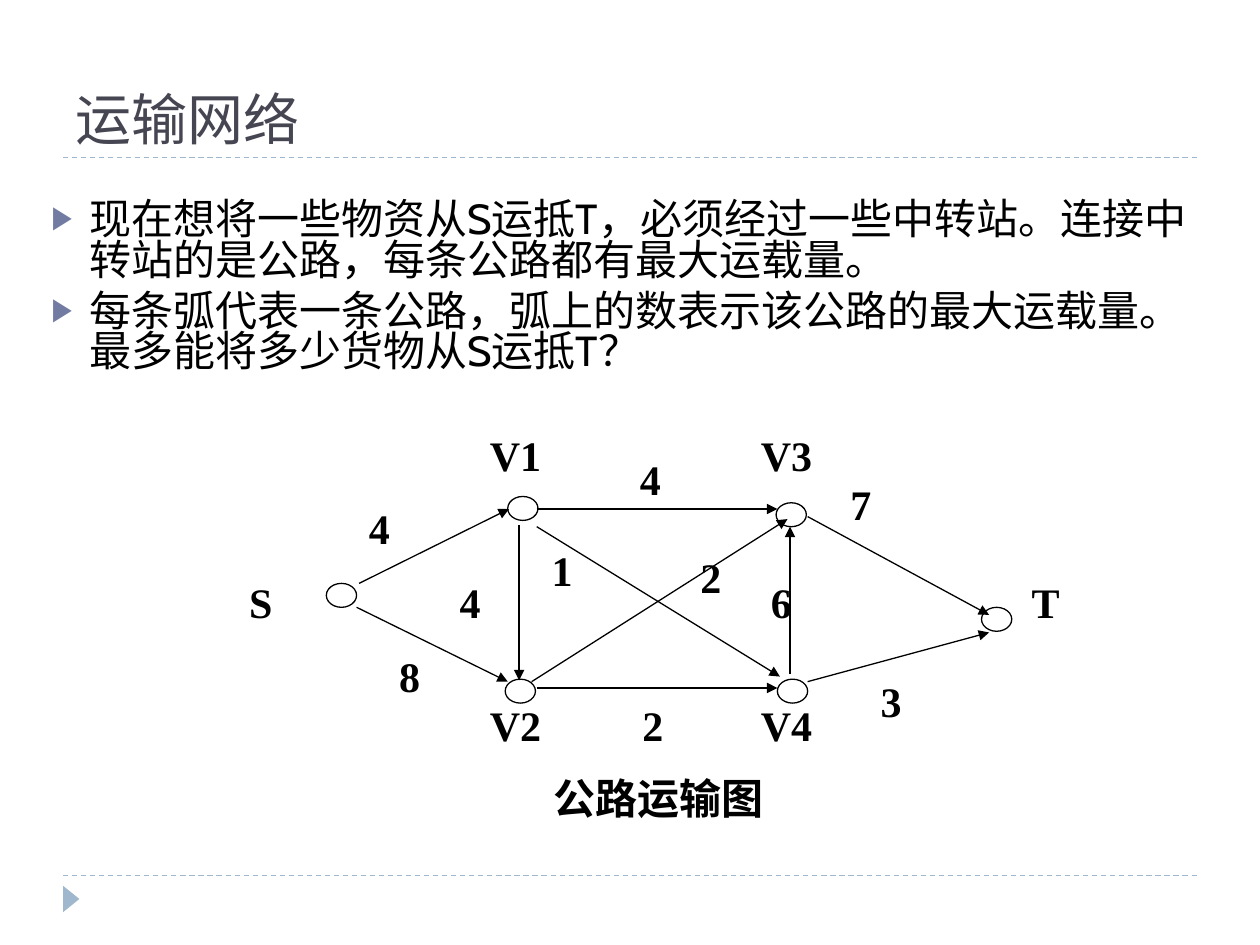
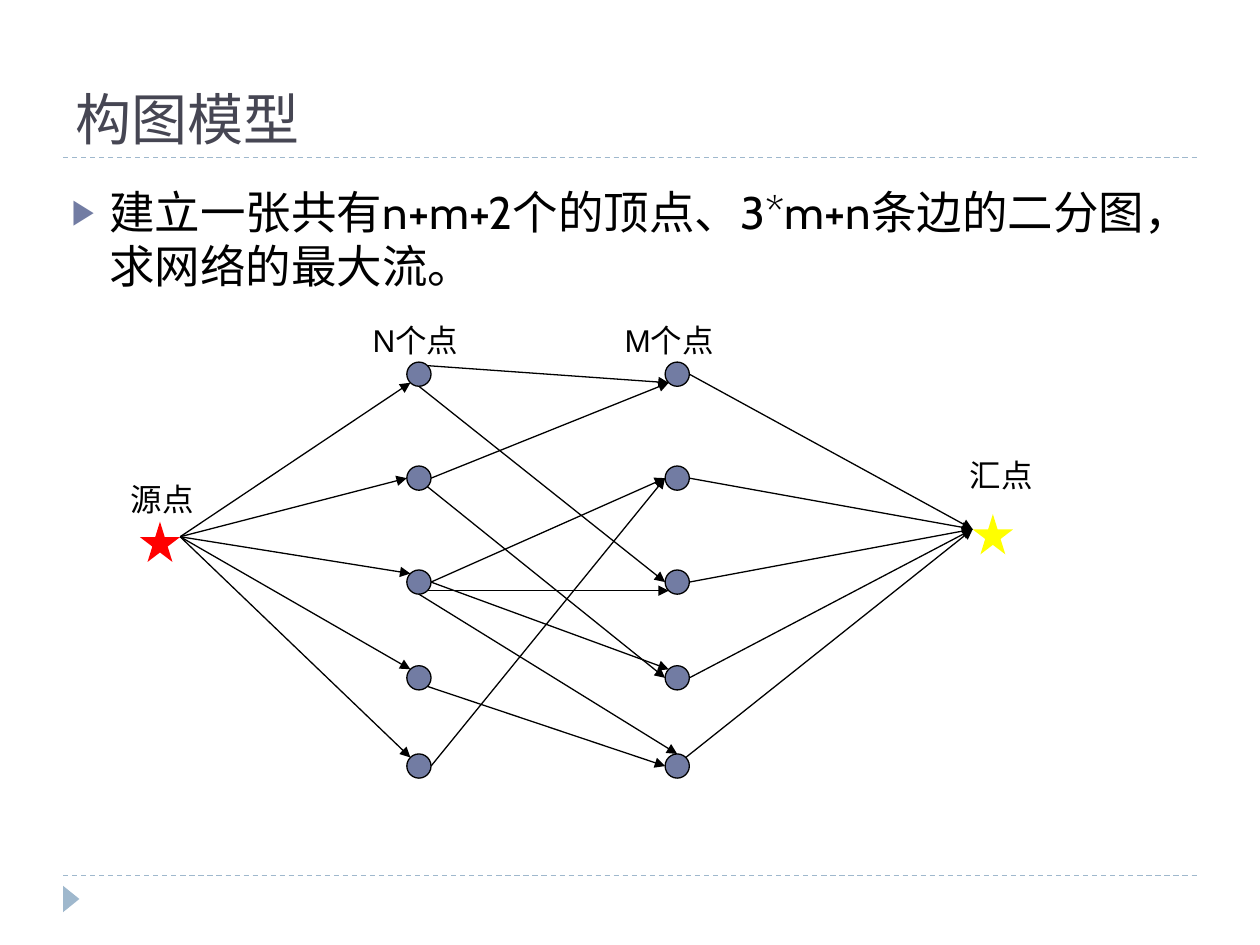
import math

import lxml.etree
import pptx
import pptx.dml.color
import pptx.enum.dml
import pptx.enum.shapes
import pptx.enum.text
import pptx.oxml.ns
import pptx.util

SLIDE_WIDTH = pptx.util.Inches(10)
SLIDE_HEIGHT = pptx.util.Inches(7.5)
COLUMN = SLIDE_WIDTH / 100
ROW = SLIDE_HEIGHT / 75

BLACK = pptx.dml.color.RGBColor(0x00, 0x00, 0x00)
WHITE = pptx.dml.color.RGBColor(0xFF, 0xFF, 0xFF)
TITLE_INK = pptx.dml.color.RGBColor(0x46, 0x46, 0x53)
RULE_BLUE = pptx.dml.color.RGBColor(0x9F, 0xB8, 0xCD)
ACCENT = pptx.dml.color.RGBColor(0x72, 0x7C, 0xA3)
SOURCE_RED = pptx.dml.color.RGBColor(0xFF, 0x00, 0x00)
SINK_YELLOW = pptx.dml.color.RGBColor(0xFF, 0xFF, 0x00)

TITLE_FONT = "TeX Gyre Bonum"
BODY_FONT = "Cabin"
NETWORK_FONT = "Times New Roman"
LABEL_FONT = "Arial"

SHAPES = pptx.enum.shapes.MSO_SHAPE
ALIGN = pptx.enum.text.PP_ALIGN
ANCHOR = pptx.enum.text.MSO_ANCHOR

COMPASS = {name: index * math.pi / 4 for index, name in
           enumerate(("E", "SE", "S", "SW", "W", "NW", "N", "NE"))}
NODE_SIZE = 1.92


def place(column, row):
    return int(column * COLUMN), int(row * ROW)


def add_child(parent, tag, **attributes):
    child = lxml.etree.SubElement(parent, pptx.oxml.ns.qn(tag))
    for name, value in attributes.items():
        child.set(name, value)
    return child


def add_bullet(paragraph):
    properties = paragraph._p.get_or_add_pPr()
    indent = pptx.util.Inches(0.3)
    properties.set("marL", str(indent))
    properties.set("indent", str(-indent))
    color = add_child(properties, "a:buClr")
    add_child(color, "a:srgbClr", val=str(ACCENT))
    add_child(properties, "a:buSzPct", val="76000")
    add_child(properties, "a:buFont", typeface=LABEL_FONT)
    add_child(properties, "a:buChar", char="▶")


def add_text(slide, text, box, *, font, size, color=BLACK, bold=False,
             align=ALIGN.LEFT, anchor=ANCHOR.TOP, bullet=False, spacing=None):
    shape = slide.shapes.add_textbox(*place(*box[:2]), *place(*box[2:]))
    frame = shape.text_frame
    frame.word_wrap = True
    frame.vertical_anchor = anchor
    frame.text = text
    for paragraph in frame.paragraphs:
        paragraph.alignment = align
        if spacing:
            paragraph.line_spacing = spacing
        if bullet:
            paragraph.space_before = pptx.util.Pt(6)
            add_bullet(paragraph)
        for run in paragraph.runs:
            run.font.name = font
            run.font.size = pptx.util.Pt(size)
            run.font.bold = bold
            run.font.color.rgb = color


def add_figure(slide, kind, box, fill, outline=None):
    shape = slide.shapes.add_shape(kind, *place(*box[:2]), *place(*box[2:]))
    shape.shadow.inherit = False
    shape.fill.solid()
    shape.fill.fore_color.rgb = fill
    if outline is None:
        shape.line.fill.background()
    else:
        shape.line.color.rgb = outline
        shape.line.width = pptx.util.Pt(0.75)
    return shape


def add_line(slide, start, end, color=BLACK):
    connector = slide.shapes.add_connector(
        pptx.enum.shapes.MSO_CONNECTOR.STRAIGHT, *place(*start), *place(*end))
    connector.line.color.rgb = color
    connector.line.width = pptx.util.Pt(0.75)
    add_child(connector._element.spPr, "a:effectLst")
    return connector


def add_arrow(slide, start, end):
    connector = add_line(slide, start, end)
    add_child(connector.line._get_or_add_ln(), "a:tailEnd", type="triangle")


def add_titled_slide(presentation, title):
    slide = presentation.slides.add_slide(presentation.slide_layouts[6])
    for row in (69.5, 12.5):
        rule = add_line(slide, (5, row), (95, row), RULE_BLUE)
        rule.line.dash_style = pptx.enum.dml.MSO_LINE.DASH
    marker = add_figure(slide, SHAPES.ISOSCELES_TRIANGLE, (4.6, 70.7, 2.1, 1.3), RULE_BLUE)
    marker.rotation = 90
    add_text(slide, title, (5, 1.7, 90, 10.8), font=TITLE_FONT, size=32,
             color=TITLE_INK, anchor=ANCHOR.BOTTOM)
    return slide


def build_transport_network(presentation):
    slide = add_titled_slide(presentation, "运输网络")
    add_text(slide,
             "现在想将一些物资从S运抵T，必须经过一些中转站。连接中转站的是公路，每条公路都有最大运载量。\n"
             "每条弧代表一条公路，弧上的数表示该公路的最大运载量。最多能将多少货物从S运抵T？",
             (3.1, 15.6, 92.9, 15.8), font=BODY_FONT, size=24, bullet=True, spacing=0.8)

    stations = {
        "S": ((25.9, 46.3), (18.8, 45.3)),
        "V1": ((40.3, 39.4), (37.9, 33.6)),
        "V2": ((40.1, 53.9), (37.9, 55)),
        "V3": ((61.6, 39.9), (59.4, 33.6)),
        "V4": ((61.7, 53.9), (59.4, 55)),
        "T": ((77.9, 48.2), (80.9, 45.3)),
    }
    roads = [
        ("4", (28.3, 39.4), (28.5, 46.3), (40.4, 40.4)),
        ("8", (30.7, 51.1), (28.3, 48.2), (40.3, 54.1)),
        ("4", (35.5, 45.3), (41.2, 41.7), (41.2, 54)),
        ("4", (49.8, 35.5), (42.6, 40.4), (61.7, 40.4)),
        ("2", (50, 55), (42.6, 54.6), (61.7, 54.6)),
        ("6", (60.2, 45.3), (62.7, 53.5), (62.7, 41.8)),
        ("1", (42.8, 42.7), (42.6, 41.8), (61.9, 53.7)),
        ("2", (54.6, 43.3), (42.2, 54.1), (62.5, 41.2)),
        ("7", (66.5, 37.5), (64.1, 41), (78.5, 48.8)),
        ("3", (68.9, 53.1), (64.1, 54.1), (78.5, 50.2)),
    ]
    style = {"font": NETWORK_FONT, "size": 24, "bold": True}
    for name, (node, label) in stations.items():
        add_figure(slide, SHAPES.OVAL, (*node, 2.4, 1.9), WHITE, BLACK)
        add_text(slide, name, (*label, 9.6, 5.8), **style)
    for capacity, label, start, end in roads:
        add_arrow(slide, start, end)
        add_text(slide, capacity, (*label, 7.2, 5.8), **style)
    add_text(slide, "公路运输图", (37.9, 60.8, 28.7, 5.8), align=ALIGN.CENTER, **style)


def node_edge(center, direction):
    angle = COMPASS[direction]
    radius = NODE_SIZE / 2
    return (center[0] + radius * math.cos(angle),
            center[1] + radius * math.sin(angle))


def build_graph_model(presentation):
    slide = add_titled_slide(presentation, "构图模型")
    add_text(slide, "建立一张共有n+m+2个的顶点、3*m+n条边的二分图，求网络的最大流。",
             (4.7, 14.1, 93.4, 45.9), font=BODY_FONT, size=26, bullet=True)

    node_rows = (29.7, 37.95, 46.2, 53.8, 60.8)
    n_nodes = [(33.25, row) for row in node_rows]
    m_nodes = [(53.75, row) for row in node_rows]
    for column, row in n_nodes + m_nodes:
        add_figure(slide, SHAPES.OVAL,
                   (column - NODE_SIZE / 2, row - NODE_SIZE / 2, NODE_SIZE, NODE_SIZE),
                   ACCENT, BLACK)

    middle_edges = [
        (0, "NE", 0, "SW"), (1, "E", 0, "SW"), (2, "SE", 2, "SW"),
        (0, "S", 2, "W"), (2, "E", 1, "W"), (4, "E", 1, "W"),
        (2, "S", 4, "N"), (3, "SE", 4, "W"), (1, "SE", 3, "W"),
        (2, "E", 3, "NW"),
    ]
    for n_index, leaving, m_index, entering in middle_edges:
        add_arrow(slide, node_edge(n_nodes[n_index], leaving),
                  node_edge(m_nodes[m_index], entering))

    add_figure(slide, SHAPES.STAR_5_POINT, (11.1, 41.4, 3.2, 3.2), SOURCE_RED)
    add_figure(slide, SHAPES.STAR_5_POINT, (77.2, 40.8, 3.2, 3.2), SINK_YELLOW)
    for node, entering in zip(n_nodes, ("SW", "W", "NW", "NW", "NW")):
        add_arrow(slide, (14.3, 42.6), node_edge(node, entering))
    for node, leaving in zip(m_nodes, ("E", "E", "E", "E", "NE")):
        add_arrow(slide, node_edge(node, leaving), (77.2, 42))

    for text, box, align in (
        ("汇点", (75.3, 35.7, 8.3, 4), ALIGN.CENTER),
        ("N个点", (28.6, 25, 9.7, 4), ALIGN.LEFT),
        ("M个点", (48.6, 25, 12.3, 4), ALIGN.LEFT),
        ("源点", (8.6, 37.6, 8.6, 4), ALIGN.CENTER),
    ):
        add_text(slide, text, box, font=LABEL_FONT, size=18, align=align)


def main():
    presentation = pptx.Presentation()
    presentation.slide_width = SLIDE_WIDTH
    presentation.slide_height = SLIDE_HEIGHT
    build_transport_network(presentation)
    build_graph_model(presentation)
    presentation.save("out.pptx")


if __name__ == "__main__":
    main()
